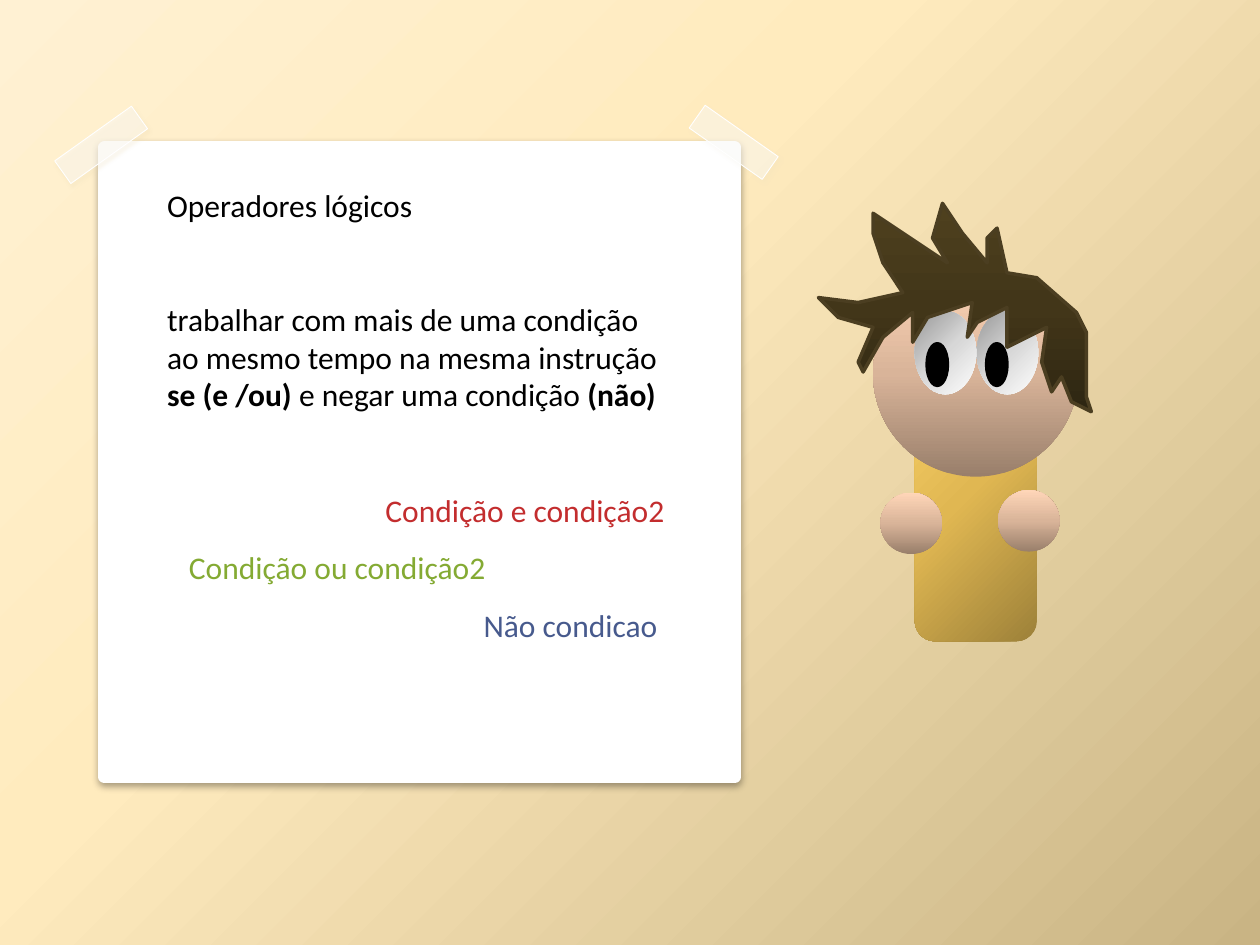
from lxml.etree import SubElement
from pptx import Presentation
from pptx.dml.color import RGBColor
from pptx.enum.shapes import MSO_SHAPE
from pptx.enum.text import MSO_AUTO_SIZE
from pptx.oxml.ns import qn
from pptx.util import Cm, Pt

WHITE = RGBColor.from_string("FFFFFF")
BLACK = RGBColor.from_string("000000")
TAPE = RGBColor.from_string("FBFBFB")
TAPE_SHADOW_LEFT = RGBColor.from_string("EBDAB2")
TAPE_SHADOW_RIGHT = RGBColor.from_string("E7DEC9")
HAIR_LINE = RGBColor.from_string("4B3E21")
RED = RGBColor.from_string("C32D2E")
GREEN = RGBColor.from_string("84AA33")
BLUE = RGBColor.from_string("475A8D")

# Gradients: colours, middle stop, then an angle or a focus (left, top, right, bottom)
BACKDROP = (("FFF1D3", "FFEBBE", "C9B484"), 40, (-24, -20, 124, 120))
SHIRT = (("9D8139", "E0B752", "FFD56B"), 50, 225)
SKIN = (("997F6B", "D9B499", "FFD6B8"), 50, 270)
EYE = (("979797", "D7D7D7", "FFFFFF"), 50, (0, 0, 100, 100))
HAIR = (("2E2612", "423619", "4E401E"), 50, 270)

# Hair outline in millimetres
HAIR_OUTLINE = [
    # Three tufts on top
    (182, 59), (178, 53), (176, 47), (176, 43), (182, 47), (191, 53),
    (188, 48), (190, 41), (194, 47), (199, 53), (199, 48), (201, 46), (203, 55),
    # Right side
    (209, 56), (217, 63), (219, 67), (219, 80), (220, 83),
    (216, 81), (214, 76), (212, 79), (210, 73), (211, 66),
    # Fringe
    (203, 70), (203, 62), (197, 65), (195, 68), (196, 61), (187, 64),
    (184, 69), (184, 63), (178, 68), (174, 75), (173, 73), (176, 66),
    # Left lock
    (169, 64), (165, 60), (173, 61), (182, 59),
]


class SlideBuilder:
    FORMAT = {"name": "Calibri", "size": Pt(18)}

    def __init__(self, slide):
        self.slide = slide
        self.shapes = slide.shapes

    def start_group(self):
        self.shapes = self.slide.shapes.add_group_shape().shapes

    def end_group(self):
        self.shapes = self.slide.shapes

    def paint(self, fill, properties, paint):
        """Apply a plain colour or one of the gradients."""
        if isinstance(paint, RGBColor):
            fill.solid()
            fill.fore_color.rgb = paint
            return
        colors, middle, direction = paint
        fill.gradient()
        gradient = properties.find(qn("a:gradFill"))
        for child in list(gradient):
            gradient.remove(child)
        stop_list = SubElement(gradient, qn("a:gsLst"))
        for position, color in zip((0, middle, 100), colors):
            stop = SubElement(stop_list, qn("a:gs"), pos=str(position * 1000))
            SubElement(stop, qn("a:srgbClr"), val=color)
        if isinstance(direction, tuple):
            focus = SubElement(gradient, qn("a:path"), {"path": "circle"})
            SubElement(focus, qn("a:fillToRect"),
                       {side: str(value * 1000) for side, value in zip("ltrb", direction)})
        else:
            SubElement(gradient, qn("a:lin"), ang=str(direction * 60000), scaled="0")

    def background(self, paint):
        fill = self.slide.background.fill
        fill.solid()
        properties = self.slide.element.find(".//" + qn("p:bgPr"))
        self.paint(fill, properties, paint)

    def finish(self, shape, paint, line=None, alpha=None, shadow=None):
        shape.shadow.inherit = False
        properties = shape.element.spPr
        self.paint(shape.fill, properties, paint)
        if alpha:
            color = properties.find(qn("a:solidFill"))[0]
            SubElement(color, qn("a:alpha"), val=str(alpha * 1000))
        if line:
            shape.line.color.rgb, shape.line.width = line[0], Pt(line[1])
        else:
            shape.line.fill.background()
        if shadow:
            color, opacity, blur, distance, angle = shadow
            outer = SubElement(properties.find(qn("a:effectLst")), qn("a:outerShdw"),
                               blurRad=str(Pt(blur)), dist=str(Pt(distance)),
                               dir=str(angle * 60000), algn="ctr", rotWithShape="0")
            shade = SubElement(outer, qn("a:srgbClr"), val=str(color))
            SubElement(shade, qn("a:alpha"), val=str(opacity * 1000))

    def shape(self, kind, box, paint, rotation=0, **style):
        shape = self.shapes.add_shape(kind, *map(Cm, box))
        shape.rotation = rotation
        self.finish(shape, paint, **style)

    def outline(self, points, unit, paint, **style):
        builder = self.shapes.build_freeform(*points[0], scale=unit)
        builder.add_line_segments(points[1:], close=True)
        self.finish(builder.convert_to_shape(), paint, **style)

    def text(self, box, runs, color=BLACK, wrap=False):
        frame = self.shapes.add_textbox(*map(Cm, box)).text_frame
        frame.word_wrap = wrap
        frame.auto_size = MSO_AUTO_SIZE.SHAPE_TO_FIT_TEXT
        for content, bold in runs:
            run = frame.paragraphs[0].add_run()
            run.text = content
            for name, value in {**self.FORMAT, "bold": bold}.items():
                setattr(run.font, name, value)
            run.font.color.rgb = color


def main():
    presentation = Presentation()
    presentation.slide_width, presentation.slide_height = Cm(25.4), Cm(19.05)
    slide = presentation.slides.add_slide(presentation.slide_layouts[6])
    builder = SlideBuilder(slide)
    builder.background(BACKDROP)

    # Paper note and its two strips of tape
    builder.shape(MSO_SHAPE.RECTANGLE, (2.11, 2.97, 12.7, 12.7), WHITE,
                  line=(WHITE, 7), shadow=(BLACK, 35, 4.4, 1.5, 90))
    for box, rotation, shade, opacity in [
        ((1.09, 2.64, 1.9, 0.56), 324.5, TAPE_SHADOW_LEFT, 40),
        ((13.89, 2.59, 1.8, 0.56), 35.1, TAPE_SHADOW_RIGHT, 20),
    ]:
        builder.shape(MSO_SHAPE.FLOWCHART_PROCESS, box, TAPE, rotation, alpha=45,
                      line=(WHITE, 0.5), shadow=(shade, opacity, 2, 2, 55))

    # Cartoon figure
    builder.start_group()
    builder.shape(MSO_SHAPE.ROUNDED_RECTANGLE, (18.44, 6.68, 2.46, 6.25), SHIRT)
    builder.shape(MSO_SHAPE.OVAL, (17.6, 5.44, 4.14, 4.17), SKIN)
    for eye_left, pupil_left in [(19.69, 19.89), (18.44, 18.69)]:
        builder.shape(MSO_SHAPE.OVAL, (eye_left, 6.27, 1.24, 1.68), EYE)
        builder.shape(MSO_SHAPE.OVAL, (pupil_left, 6.93, 0.41, 0.84), BLACK, line=(BLACK, 2))
    builder.outline(HAIR_OUTLINE, Cm(0.1), HAIR, line=(HAIR_LINE, 2))
    builder.end_group()
    for left, top in [(17.75, 9.93), (20.12, 9.88)]:
        builder.shape(MSO_SHAPE.OVAL, (left, top, 1.24, 1.24), SKIN)

    # Title, examples and explanation
    for content, box, color in [
        ("Operadores lógicos", (3.12, 3.63, 5.51, 1.02), BLACK),
        ("Condição ou condição2", (3.56, 10.92, 6.58, 1.02), GREEN),
        ("Condição e condição2", (7.52, 9.78, 6.2, 1.02), RED),
        ("Não condicao", (9.5, 12.09, 4.06, 1.02), BLUE),
    ]:
        builder.text(box, [(content, False)], color)
    builder.text((3.12, 5.92, 10.49, 2.57), [
        ("trabalhar com mais de uma condição ao mesmo tempo na mesma instrução ", False),
        ("se (e /ou) ", True),
        ("e negar uma condição ", False),
        ("(não)", True),
    ], wrap=True)

    presentation.save("out.pptx")


if __name__ == "__main__":
    main()
